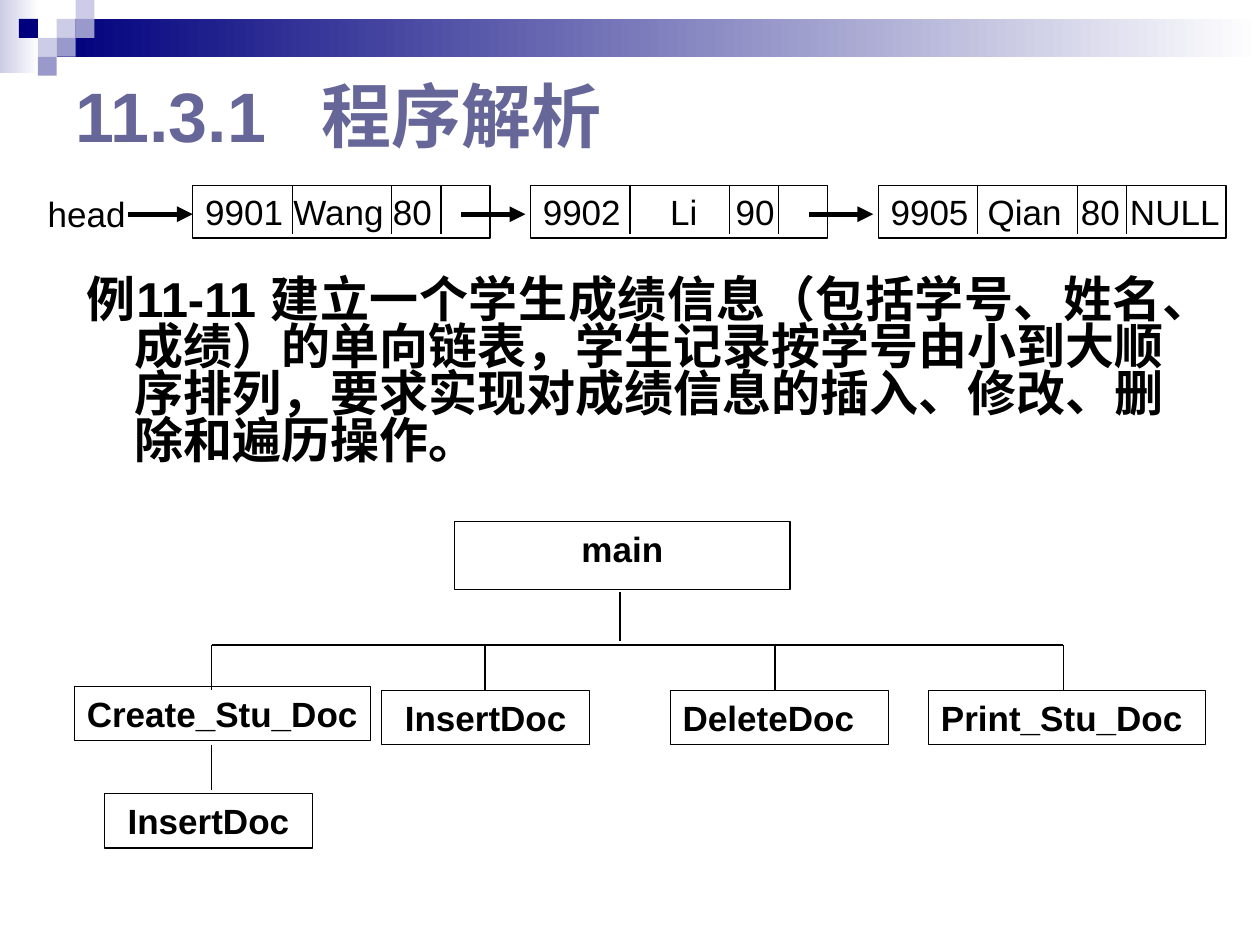
import dataclasses

import lxml.etree
import pptx
import pptx.dml.color
import pptx.enum.shapes
import pptx.enum.text
import pptx.oxml.ns
import pptx.util

Inches = pptx.util.Inches
Pt = pptx.util.Pt
Align = pptx.enum.text.PP_ALIGN
Anchor = pptx.enum.text.MSO_ANCHOR


@dataclasses.dataclass(frozen=True)
class Theme:
    """Colours, font, type sizes and line widths of the slide."""

    font: str = "Arial"
    title_color: str = "666699"
    ink: str = "000000"
    paper: str = "FFFFFF"
    navy: str = "00007D"
    lilac: str = "CCCCE6"
    violet: str = "9999CC"
    title_size: int = 40
    body_size: int = 28
    label_size: int = 20
    thin: float = 0.75
    thick: float = 3


THEME = Theme()
TILE = 0.15
NODE_TOP, NODE_HEIGHT, ARROW_Y = 1.47, 0.42, 1.7
BUS_Y, CHILD_Y = 5.12, 5.48
BODY = (
    "例11-11 建立一个学生成绩信息（包括学号、姓名、成绩）的单向链表，"
    "学生记录按学号由小到大顺序排列，要求实现对成绩信息的插入、修改、删除和遍历操作。"
)


def rgb(value):
    """Turn a hex string into a colour."""
    return pptx.dml.color.RGBColor.from_string(value)


def add_element(parent, tag, **attributes):
    """Append a DrawingML element to a parent element."""
    return lxml.etree.SubElement(parent, pptx.oxml.ns.qn(tag), attributes)


def write(box, text, size, bold=False, color=THEME.ink, align=Align.LEFT,
          anchor=Anchor.TOP, wrap=True, tabs=()):
    """Fill a shape with one formatted paragraph and return the paragraph."""
    frame = box.text_frame
    frame.text = text
    frame.word_wrap = wrap
    frame.auto_size = pptx.enum.text.MSO_AUTO_SIZE.NONE
    frame.vertical_anchor = anchor
    para = frame.paragraphs[0]
    para.alignment = align
    if tabs:
        stops = add_element(para._p.get_or_add_pPr(), "a:tabLst")
        for stop in tabs:
            add_element(stops, "a:tab", pos=str(Inches(stop)), algn="l")
    for span in para.runs:
        span.font.name = THEME.font
        span.font.size = Pt(size)
        span.font.bold = bold
        span.font.color.rgb = rgb(color)
    return para


def add_rectangle(page, left, top, width, height, fill=None, outlined=False):
    """Add a rectangle with an optional fill and thin outline."""
    box = page.shapes.add_shape(
        pptx.enum.shapes.MSO_SHAPE.RECTANGLE,
        Inches(left), Inches(top), Inches(width), Inches(height))
    box.shadow.inherit = False
    if fill:
        box.fill.solid()
        box.fill.fore_color.rgb = rgb(fill)
    else:
        box.fill.background()
    if outlined:
        box.line.color.rgb = rgb(THEME.ink)
        box.line.width = Pt(THEME.thin)
    else:
        box.line.fill.background()
    return box


def add_fade(page, left, top, width, height, color):
    """Add a band that fades from a colour to the paper."""
    band = add_rectangle(page, left, top, width, height)
    band.fill.gradient()
    band.fill.gradient_angle = 0
    for stop, position, shade in zip(band.fill.gradient_stops, (0, 1), (color, THEME.paper)):
        stop.position = position
        stop.color.rgb = rgb(shade)


def add_line(page, start, end, arrow=False):
    """Add a thin line or a thick arrow between two points."""
    line = page.shapes.add_connector(
        pptx.enum.shapes.MSO_CONNECTOR.STRAIGHT, *map(Inches, start + end))
    line.line.color.rgb = rgb(THEME.ink)
    line.line.width = Pt(THEME.thick if arrow else THEME.thin)
    if arrow:
        add_element(line.line._get_or_add_ln(), "a:tailEnd", type="triangle")
    add_element(line._element.spPr, "a:effectLst")


def add_text_box(page, left, top, width, height):
    """Add an empty text box."""
    return page.shapes.add_textbox(Inches(left), Inches(top), Inches(width), Inches(height))


def add_banner(page):
    """Add the fading bands and the checker tiles along the top."""
    add_fade(page, 0, 0, 0.31, 0.58, THEME.lilac)
    add_fade(page, 0.45, 0.15, 9.55, 0.3, THEME.navy)
    tiles = [
        (3, 1, THEME.lilac), (4, 0, THEME.lilac), (4, 1, THEME.violet),
        (2, 2, THEME.lilac), (1, 1, THEME.navy), (3, 2, THEME.violet),
        (2, 3, THEME.violet),
    ]
    for column, row, color in tiles:
        add_rectangle(page, column * TILE, row * TILE, TILE, TILE, color)


def add_title(page):
    """Place and format the title placeholder."""
    title = page.shapes.title
    title.left, title.top, title.width, title.height = map(Inches, (0.5, 0.5, 9, 0.81))
    write(title, "11.3.1\t程序解析", THEME.title_size, True, THEME.title_color,
          anchor=Anchor.MIDDLE, tabs=(1.95,))


def add_body(page):
    """Add the justified exercise text with a hanging indent."""
    para = write(add_text_box(page, 0.59, 2.17, 8.74, 1.65), BODY,
                 THEME.body_size, True, align=Align.JUSTIFY)
    para.line_spacing = 0.8
    indent = Inches(0.38)
    properties = para._p.get_or_add_pPr()
    properties.set("marL", str(indent))
    properties.set("indent", str(-indent))


def add_list_node(page, left, width, fields, tabs):
    """Add a linked-list record with its field dividers."""
    node = add_rectangle(page, left, NODE_TOP, width, NODE_HEIGHT, outlined=True)
    write(node, "\t".join(fields), THEME.label_size, anchor=Anchor.MIDDLE, tabs=tabs)
    node.text_frame.margin_right = 0
    for offset in (0.79, 1.58, 1.97):
        x = left + offset
        add_line(page, (x, NODE_TOP), (x, NODE_TOP + 0.39))


def add_linked_list(page):
    """Add the head label, the three records and their arrows."""
    write(add_text_box(page, 0.28, 1.48, 0.82, 0.44), "head", THEME.label_size, wrap=False)
    add_list_node(page, 1.53, 2.36, ("9901", "Wang", "80"), (0.7, 1.49))
    add_list_node(page, 4.21, 2.36, ("9902", "Li", "90"), (1.01, 1.53))
    add_list_node(page, 6.97, 2.76, ("9905", "Qian", "80", "NULL"), (0.77, 1.51, 1.9))
    for x in (1.02, 3.66, 6.42):
        add_line(page, (x, ARROW_Y), (x + 0.51, ARROW_Y), arrow=True)


def add_call_tree(page):
    """Add the function boxes and the lines that join them."""
    boxes = [
        ("main", 3.61, 4.14, 2.66, 0.54, Align.CENTER),
        ("Create_Stu_Doc", 0.59, 5.45, 2.35, 0.43, Align.LEFT),
        ("InsertDoc", 3.03, CHILD_Y, 1.65, 0.43, Align.CENTER),
        ("DeleteDoc", 5.32, CHILD_Y, 1.73, 0.43, Align.LEFT),
        ("Print_Stu_Doc", 7.37, CHILD_Y, 2.2, 0.43, Align.LEFT),
        ("InsertDoc", 0.83, 6.3, 1.65, 0.43, Align.CENTER),
    ]
    for name, left, top, width, height, align in boxes:
        fill = THEME.paper if name == "main" else None
        box = add_rectangle(page, left, top, width, height, fill, outlined=True)
        write(box, name, THEME.label_size, True, align=align, wrap="_" not in name)
    branches = (1.68, 3.85, 6.15, 8.44)
    add_line(page, (branches[0], BUS_Y), (branches[-1], BUS_Y))
    for x in branches:
        add_line(page, (x, BUS_Y), (x, CHILD_Y))
    add_line(page, (4.92, 4.7), (4.92, 5.09))
    add_line(page, (branches[0], 5.91), (branches[0], 6.27))


def main():
    """Build the slide and save the deck."""
    deck = pptx.Presentation()
    deck.slide_width, deck.slide_height = Inches(10), Inches(7.5)
    page = deck.slides.add_slide(deck.slide_layouts.get_by_name("Title Only"))
    add_banner(page)
    add_title(page)
    add_body(page)
    add_call_tree(page)
    add_linked_list(page)
    deck.save("out.pptx")


if __name__ == "__main__":
    main()
